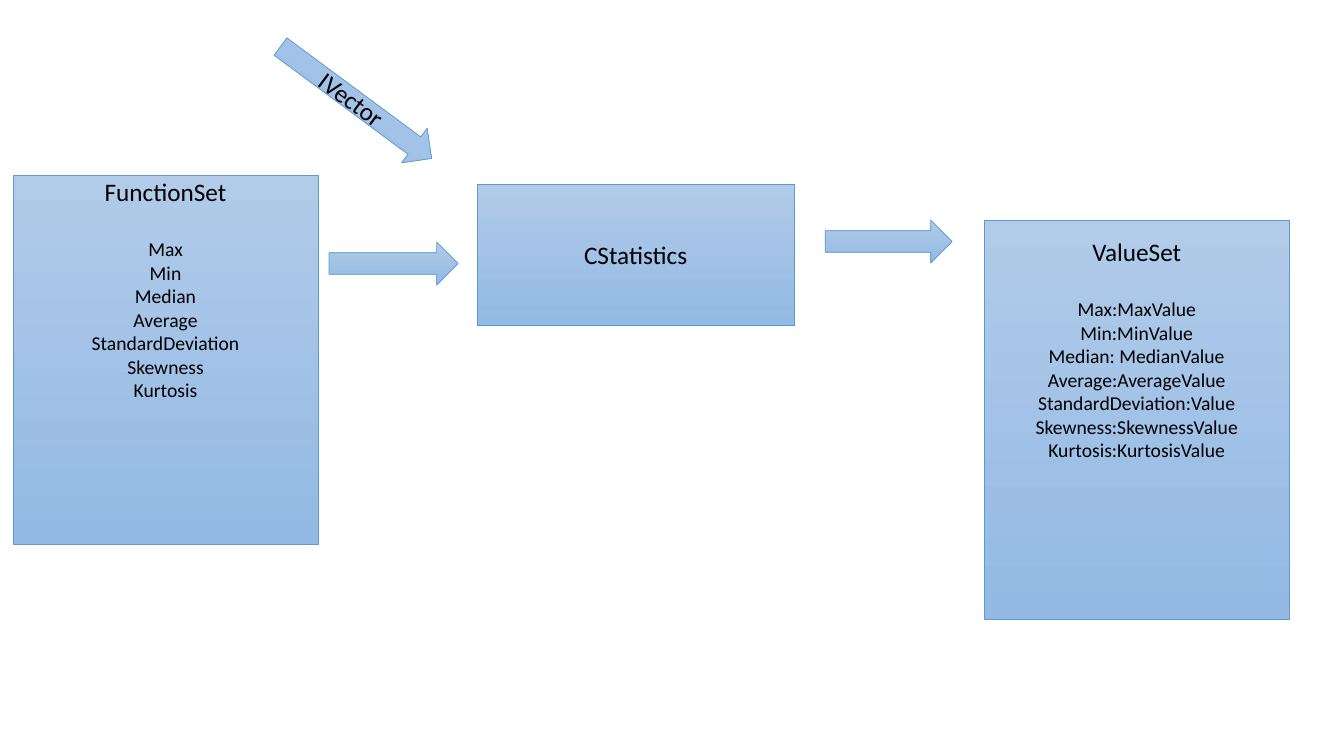
from pptx import Presentation
from pptx.dml.color import RGBColor
from pptx.enum.shapes import MSO_SHAPE as Shape
from pptx.enum.text import MSO_ANCHOR as Anchor, PP_ALIGN as Align
from pptx.util import Inches, Pt

# Content: boxes are (left, top, width, height) in px
FUNCTIONS = ["Max", "Min", "Median", "Average", "StandardDeviation",
             "Skewness", "Kurtosis"]
VALUES = ["Max:MaxValue", "Min:MinValue", "Median: MedianValue",
          "Average:AverageValue", "StandardDeviation:Value",
          "Skewness:SkewnessValue", "Kurtosis:KurtosisValue"]
STATISTICS = ("CStatistics", (477, 184, 317, 141))
# Sets: heading, entries, box, space above the heading
SETS = [("FunctionSet", FUNCTIONS, (13, 175, 305, 369), 1),
        ("ValueSet", VALUES, (984, 220, 305, 399), 16)]
# Arrows: label, box, rotation
ARROWS = [("IVector", (262, 81, 188, 43), 36.5),
          ("", (825, 220, 127, 43), 0),
          ("", (329, 242, 129, 43), 0)]

PX = Inches(1) / 100.8
FONT = "Calibri"
HEADING_SIZE, ENTRY_SIZE, HEADING_GAP = Pt(18), Pt(14), Pt(22)
LIGHT_BLUE = RGBColor(0xB1, 0xCB, 0xE9)
MID_BLUE = RGBColor(0x93, 0xB9, 0xE4)
OUTLINE = RGBColor(0x5B, 0x9B, 0xD5)
BLACK = RGBColor(0, 0, 0)


def px(length):
    return round(length * PX)


def add_block(slide, preset, box):
    block = slide.shapes.add_shape(preset, *map(px, box))
    block.shadow.inherit = False
    block.fill.gradient()
    block.fill.gradient_angle = 270  # light at the top
    for stop, shade in zip(block.fill.gradient_stops, (LIGHT_BLUE, MID_BLUE)):
        stop.color.rgb = shade
    block.line.color.rgb = OUTLINE
    block.line.width = Pt(0.5)
    return block


def write_line(paragraph, words, size):
    paragraph.alignment = Align.CENTER
    run = paragraph.add_run()
    run.text = words
    run.font.name = FONT
    run.font.size = size
    run.font.color.rgb = BLACK


def write_heading(block, heading, anchor=Anchor.MIDDLE):
    frame = block.text_frame
    frame.word_wrap = True
    frame.vertical_anchor = anchor
    write_line(frame.paragraphs[0], heading, HEADING_SIZE)
    return frame


def main():
    deck = Presentation()
    deck.slide_width, deck.slide_height = Inches(13.33), Inches(7.5)
    slide = deck.slides.add_slide(deck.slide_layouts[6])

    # Central class
    name, box = STATISTICS
    write_heading(add_block(slide, Shape.RECTANGLE, box), name)

    # Input and output sets
    for heading, entries, box, inset in SETS:
        block = add_block(slide, Shape.RECTANGLE, box)
        frame = write_heading(block, heading, Anchor.TOP)
        frame.margin_top = px(inset)
        frame.paragraphs[0].space_after = HEADING_GAP
        for entry in entries:
            write_line(frame.add_paragraph(), entry, ENTRY_SIZE)

    # Flow arrows
    for label, box, rotation in ARROWS:
        arrow = add_block(slide, Shape.RIGHT_ARROW, box)
        arrow.rotation = rotation
        if label:
            write_heading(arrow, label)

    deck.save("out.pptx")


if __name__ == "__main__":
    main()
